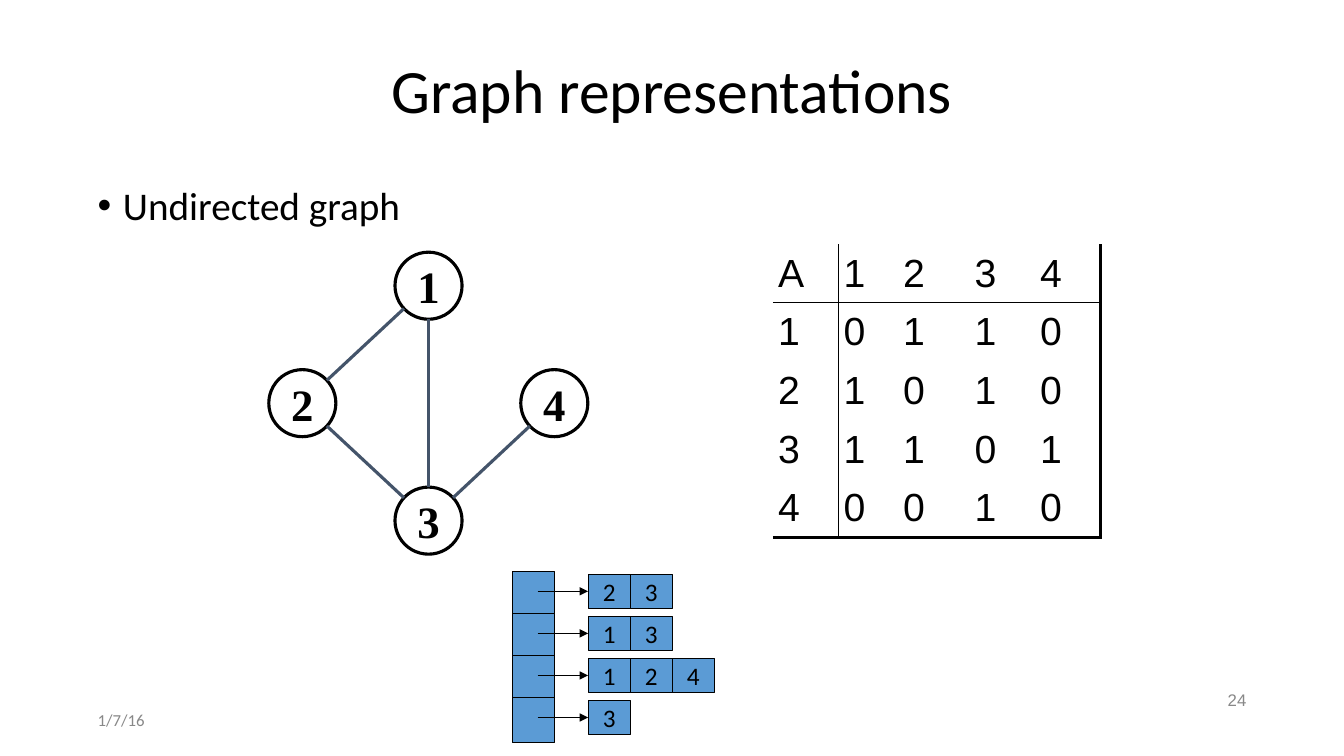
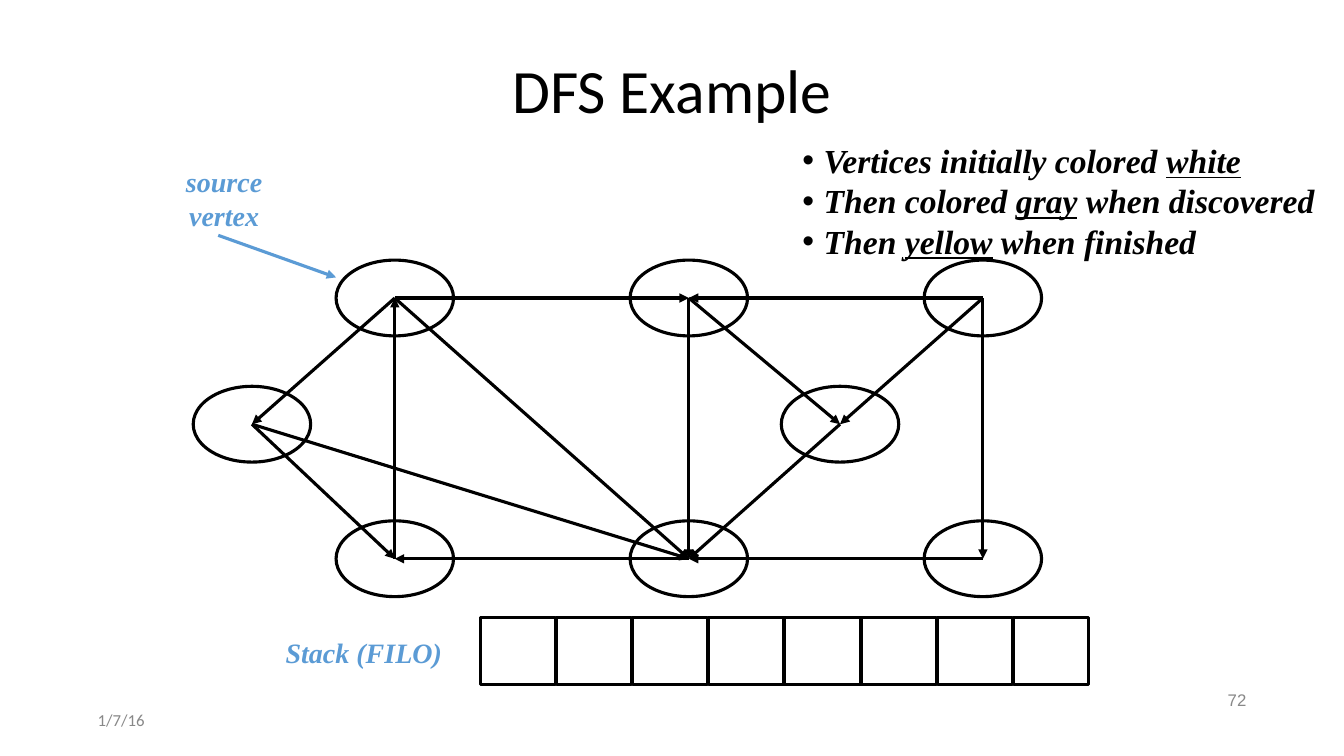
from math import hypot

from lxml import etree
from pptx import Presentation
from pptx import util as u
from pptx.dml.color import RGBColor
from pptx.enum import shapes, text
from pptx.oxml.ns import qn

BLACK, GRAY, SLATE, BLUE = "000000", "888888", "44546A", "5B9BD5"
SANS, SERIF, PLAIN = "Calibri", "Times New Roman", "Arial"
LEFT, MID, RIGHT = text.PP_ALIGN.LEFT, text.PP_ALIGN.CENTER, text.PP_ALIGN.RIGHT
OVAL, RECT = shapes.MSO_SHAPE.OVAL, shapes.MSO_SHAPE.RECTANGLE
NO_STYLE = "{2D5ABB26-0587-4C30-8999-92F81FD0307C}"
PAD = u.Cm(0.13)


def tint(code):
    return RGBColor.from_string(code)


def write(frame, words, size=18, font=SANS, color=BLACK, bold=False,
          italic=False, align=LEFT, space=None, before=None, bullet=None):
    """Fill a text frame: one paragraph a line, _underlined_ between marks."""
    for i, line in enumerate(words.split("\n")):
        para = frame.add_paragraph() if i else frame.paragraphs[0]
        para.alignment = align
        para.line_spacing = space
        if before:
            para.space_before = u.Pt(before)
        if bullet:
            props = para._p.get_or_add_pPr()
            props.set("marL", str(u.Cm(bullet)))
            props.set("indent", str(-u.Cm(bullet)))
            etree.SubElement(props, qn("a:buFont"), typeface=PLAIN)
            etree.SubElement(props, qn("a:buChar"), char="•")
        for j, part in enumerate(line.split("_")):
            if not part:
                continue
            run = para.add_run()
            run.text = part
            face = run.font
            face.name, face.size = font, u.Pt(size)
            face.bold, face.italic = bold, italic
            face.underline = j % 2 == 1
            face.color.rgb = tint(color)


class Deck:
    def __init__(self):
        self.show = Presentation()
        self.show.slide_width = u.Cm(33.87)
        self.show.slide_height = u.Cm(19.05)

    def slide(self, title, number):
        """Start a slide with its title, date and page number."""
        layout = self.show.slide_layouts[6]
        self.items = self.show.slides.add_slide(layout).shapes
        self.label(2.33, 1.01, 29.21, 2.72, title, size=44,
                   align=MID, space=0.9, middle=True)
        self.label(2.33, 17.78, 7.62, 0.74, "1/7/16", size=12,
                   color=GRAY, middle=True)
        self.label(23.92, 17.27, 7.62, 0.74, number, size=12, font=PLAIN,
                   color=GRAY, align=RIGHT, middle=True)

    def label(self, x, y, w, h, words, middle=False, **style):
        box = self.items.add_textbox(u.Cm(x), u.Cm(y), u.Cm(w), u.Cm(h))
        self.frame(box.text_frame, middle)
        write(box.text_frame, words, **style)

    def frame(self, frame, middle):
        frame.word_wrap = True
        frame.margin_left = frame.margin_right = PAD
        frame.margin_top = frame.margin_bottom = PAD
        anchor = text.MSO_ANCHOR
        frame.vertical_anchor = anchor.MIDDLE if middle else anchor.TOP

    def shape(self, kind, x, y, w, h, words="", fill=None, width=2.25, **style):
        item = self.items.add_shape(kind, u.Cm(x), u.Cm(y), u.Cm(w), u.Cm(h))
        item.shadow.inherit = False
        if fill:
            item.fill.solid()
            item.fill.fore_color.rgb = tint(fill)
        else:
            item.fill.background()
        item.line.color.rgb = tint(BLACK)
        item.line.width = u.Pt(width)
        if words:
            self.frame(item.text_frame, True)
            item.text_frame.word_wrap = False
            write(item.text_frame, words, align=MID, **style)

    def oval(self, mid, w, h, words="", **style):
        x, y = mid
        self.shape(OVAL, x - w / 2, y - h / 2, w, h, words, **style)

    def line(self, start, end, color=BLACK, width=2.25, arrow=True):
        ends = [u.Cm(v) for v in (*start, *end)]
        item = self.items.add_connector(shapes.MSO_CONNECTOR.STRAIGHT, *ends)
        item.line.color.rgb = tint(color)
        item.line.width = u.Pt(width)
        props = item.element.spPr
        if arrow:
            etree.SubElement(props.find(qn("a:ln")), qn("a:tailEnd"),
                             type="triangle")
        etree.SubElement(props, qn("a:effectLst"))

    def table(self, x, y, widths, high, rows):
        """Plain grid with thin rules by the headings, thick outer ones."""
        size = len(rows), len(widths)
        item = self.items.add_table(*size, u.Cm(x), u.Cm(y),
                                    u.Cm(sum(widths)), u.Cm(high * len(rows)))
        grid = item.table
        grid.first_row = grid.horz_banding = False
        next(item.element.iter(qn("a:tableStyleId"))).text = NO_STYLE
        for col, w in zip(grid.columns, widths):
            col.width = u.Cm(w)
        rules = {0: 1, len(rows) - 1: 2.25}
        for r, row in enumerate(rows):
            grid.rows[r].height = u.Cm(high)
            for c, word in enumerate(row):
                cell = grid.cell(r, c)
                cell.margin_left = cell.margin_right = PAD
                cell.margin_top = cell.margin_bottom = 0
                cell.vertical_anchor = text.MSO_ANCHOR.MIDDLE
                cell.fill.background()
                write(cell.text_frame, word, size=28, font=PLAIN)
                self.rule(cell, "a:lnB", rules.get(r))
                self.rule(cell, "a:lnR", rules.get(c))

    def rule(self, cell, side, width):
        if width:
            edge = etree.Element(qn(side), w=str(u.Pt(width)))
            fill = etree.SubElement(edge, qn("a:solidFill"))
            etree.SubElement(fill, qn("a:srgbClr"), val=BLACK)
            cell._tc.get_or_add_tcPr().insert(0, edge)


def graph(deck):
    deck.slide("Graph representations", "24")
    deck.label(2.33, 4.57, 29.21, 1.6, "Undirected graph", size=28,
               space=0.9, before=10, bullet=0.64)

    # Drawn graph, with edges from rim to rim
    wide = 1.69
    nodes = {"1": (10.8, 7.2), "2": (7.62, 10.16),
             "4": (13.97, 10.16), "3": (10.8, 13.12)}
    for name, mid in nodes.items():
        deck.oval(mid, wide, wide, name, size=32, font=SERIF, bold=True)
    for a, b in ("12", "23", "43", "13"):
        (x, y), (p, q) = nodes[a], nodes[b]
        part = wide / 2 / hypot(p - x, q - y)
        dx, dy = (p - x) * part, (q - y) * part
        deck.line((x + dx, y + dy), (p - dx, q - dy), SLATE, arrow=False)

    # Adjacency matrix
    deck.table(19.48, 6.15, (1.65, 1.5, 1.8, 1.65, 1.65), 1.48,
               ("A1234", "10110", "21010", "31101", "40010"))

    # Adjacency lists
    wide, step, high = 1.07, 1.06, 0.85
    look = dict(fill=BLUE, width=0.75)
    for i, row in enumerate(("23", "13", "124", "3")):
        deck.shape(RECT, 12.91, 14.4 + i * step, wide, 1.14, **look)
        y = 14.9 + i * step
        for j, name in enumerate(row):
            deck.shape(RECT, 14.82 + j * step, y - high / 2, wide, high,
                       name, **look)
        deck.line((13.55, y), (14.82, y), width=0.75)


def search(deck):
    deck.slide("DFS Example", "72")

    # Vertices, named by place: top, bottom, left and right
    west, mid, east = 9.95, 17.36, 24.77
    top, low, half = 7.51, 14.08, 10.69
    nodes = {"t1": (west, top), "t2": (mid, top), "t3": (east, top),
             "b1": (west, low), "b2": (mid, low), "b3": (east, low),
             "l": (6.35, half), "r": (21.17, half)}
    for spot in nodes.values():
        deck.oval(spot, 2.96, 1.91)

    # Directed edges
    edges = {"t1": "l b2 t2", "l": "b1 b2", "b2": "b1", "b1": "t1",
             "t2": "b2 r", "t3": "t2 r b3", "b3": "b2", "r": "b2"}
    for a, ends in edges.items():
        for b in ends.split():
            deck.line(nodes[a], nodes[b])

    # Source mark and colour rules
    note = dict(size=20, font=SERIF, color=BLUE, bold=True, italic=True,
                align=MID)
    deck.label(4.15, 4.02, 3, 1.86, "source\nvertex", **note)
    deck.line((5.5, 5.93), (8.47, 6.99), BLUE)
    deck.label(20.09, 3.4, 13.6, 3.07,
               "Vertices initially colored _white_\n"
               "Then colored _gray_ when discovered\n"
               "Then _yellow_ when finished",
               size=24, font=SERIF, bold=True, italic=True, bullet=0.54)

    # Empty stack
    deck.label(7.01, 15.89, 4.32, 1.05, "Stack (FILO)", **note)
    for i in range(8):
        deck.shape(RECT, 12.1 + i * 1.92, 15.56, 1.9, 1.7)


def main():
    deck = Deck()
    graph(deck)
    search(deck)
    deck.show.save("out.pptx")


if __name__ == "__main__":
    main()
